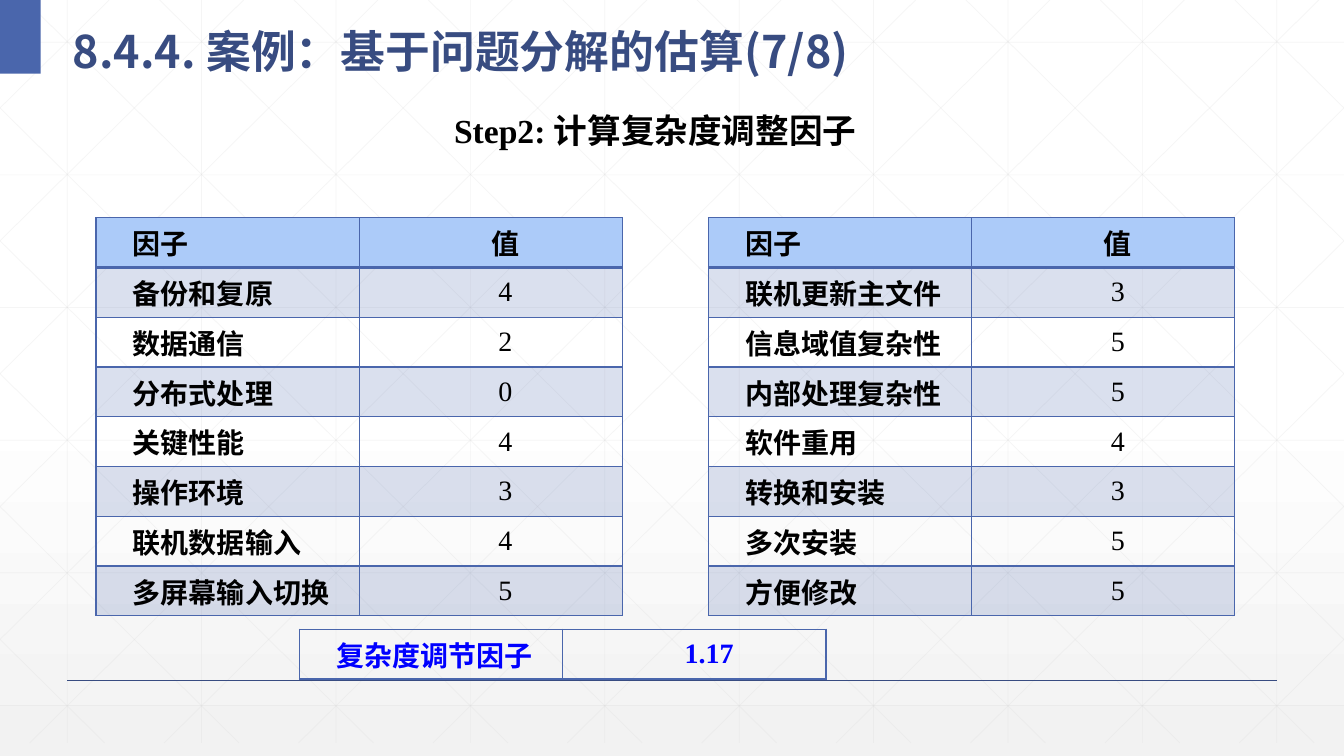
from dataclasses import dataclass

from pptx import Presentation
from pptx.dml.color import RGBColor
from pptx.enum.shapes import MSO_CONNECTOR, MSO_SHAPE
from pptx.enum.text import MSO_ANCHOR, PP_ALIGN
from pptx.oxml.ns import qn
from pptx.util import Pt
from lxml.etree import SubElement


@dataclass(frozen=True)
class Theme:
    accent: str = "4A66AC"
    dark_accent: str = "384C81"
    header: str = "ACCBF9"
    grid: str = "D9D9D9"
    text: str = "000000"
    result: str = "0000FF"
    background_top: str = "FFFFFF"
    background_bottom: str = "F2F2F2"
    latin_font: str = "Times New Roman"
    chinese_font: str = "Noto Sans CJK SC"
    title_size: int = 32
    step_size: int = 24
    table_size: int = 20


THEME = Theme()
SLIDE_WIDTH, SLIDE_HEIGHT = 960, 540
GRID_HEIGHT, GRID_STEP_X, GRID_STEP_Y = 530.6, 96, 94.75
DIAGONAL_RUN = 536.7
COLUMN_WIDTH, ROW_HEIGHT = 188, 35.55

LEFT_FACTORS = [("因子", "值"), ("备份和复原", "4"), ("数据通信", "2"), ("分布式处理", "0"),
                ("关键性能", "4"), ("操作环境", "3"), ("联机数据输入", "4"), ("多屏幕输入切换", "5")]
RIGHT_FACTORS = [("因子", "值"), ("联机更新主文件", "3"), ("信息域值复杂性", "5"), ("内部处理复杂性", "5"),
                 ("软件重用", "4"), ("转换和安装", "3"), ("多次安装", "5"), ("方便修改", "5")]
ADJUSTMENT_FACTOR = [("复杂度调节因子", "1.17")]


def set_opacity(fill, percent):
    color = fill._xPr.find(qn("a:solidFill")).find(qn("a:srgbClr"))
    SubElement(color, qn("a:alpha"), val=str(percent * 1000))


def paint_background(slide):
    fill = slide.background.fill
    fill.gradient()
    fill.gradient_angle = 270
    stops = ((0.53, THEME.background_top), (1, THEME.background_bottom))
    for stop, (position, color) in zip(fill.gradient_stops, stops):
        stop.position = position
        stop.color.rgb = RGBColor.from_string(color)


def add_line(slide, start, end, color, width, opacity=None):
    line = slide.shapes.add_connector(
        MSO_CONNECTOR.STRAIGHT, *(Pt(value) for value in (*start, *end)))
    line.line.color.rgb = RGBColor.from_string(color)
    line.line.width = Pt(width)
    if opacity is not None:
        set_opacity(line.line.fill, opacity)
    SubElement(line._element.spPr, qn("a:effectLst"))


def clipped_diagonal(start_x):
    """Return the ends of a falling diagonal, cut at the slide's sides."""
    slope = GRID_HEIGHT / DIAGONAL_RUN
    left = max(start_x, 0)
    right = min(start_x + DIAGONAL_RUN, SLIDE_WIDTH)
    return (left, (left - start_x) * slope), (right, (right - start_x) * slope)


def add_grid(slide):
    lines = []
    for column in range(10):
        x = 48 + column * GRID_STEP_X
        lines.append(((x, 0), (x, GRID_HEIGHT)))
    for row in range(6):
        y = 30.2 + row * GRID_STEP_Y
        lines.append(((0, y), (SLIDE_WIDTH, y)))
    for column in range(-5, 10):
        diagonal = clipped_diagonal(18 + column * GRID_STEP_X)
        lines.append(diagonal)
        lines.append(tuple((SLIDE_WIDTH - x, y) for x, y in diagonal))
    for start, end in lines:
        add_line(slide, start, end, THEME.grid, 0.5, opacity=25)


def write_text(text_frame, text, *, size, color=THEME.text, bold=True, font=THEME.latin_font,
               align=PP_ALIGN.LEFT, line_spacing=None, margin_left=0, indent=0):
    paragraph = text_frame.paragraphs[0]
    paragraph.alignment = align
    paragraph.line_spacing = line_spacing
    properties = paragraph._p.get_or_add_pPr()
    properties.set("marL", str(Pt(margin_left)))
    properties.set("indent", str(Pt(indent)))
    run = paragraph.add_run()
    run.text = text
    run.font.name = font
    run.font.size = Pt(size)
    run.font.bold = bold
    run.font.color.rgb = RGBColor.from_string(color)
    SubElement(run._r.get_or_add_rPr(), qn("a:ea"), typeface=THEME.chinese_font)


def add_text(slide, text, left, top, width, height, *, anchor=MSO_ANCHOR.TOP, **text_format):
    box = slide.shapes.add_textbox(Pt(left), Pt(top), Pt(width), Pt(height))
    box.text_frame.word_wrap = True
    box.text_frame.vertical_anchor = anchor
    write_text(box.text_frame, text, **text_format)


def add_corner_block(slide):
    block = slide.shapes.add_shape(MSO_SHAPE.RECTANGLE, Pt(0), Pt(0), Pt(29), Pt(52.6))
    block.shadow.inherit = False
    block.fill.solid()
    block.fill.fore_color.rgb = RGBColor.from_string(THEME.accent)
    block.line.fill.background()


def set_borders(cell, bottom_width):
    properties = cell._tc.get_or_add_tcPr()
    for side, width in (("L", 1), ("R", 1), ("T", 1), ("B", bottom_width)):
        border = SubElement(properties, qn(f"a:ln{side}"), w=str(Pt(width)))
        fill = SubElement(border, qn("a:solidFill"))
        SubElement(fill, qn("a:srgbClr"), val=THEME.accent)


def fill_cell(cell, color=None, opacity=None):
    if color is None:
        cell.fill.background()
        return
    cell.fill.solid()
    cell.fill.fore_color.rgb = RGBColor.from_string(color)
    if opacity is not None:
        set_opacity(cell.fill, opacity)


def add_factor_table(slide, rows, left, top, *, has_header=True, color=THEME.text):
    frame = slide.shapes.add_table(len(rows), 2, Pt(left), Pt(top),
                                   Pt(2 * COLUMN_WIDTH), Pt(len(rows) * ROW_HEIGHT))
    table = frame.table
    table.first_row = table.horz_banding = False
    for row in table.rows:
        row.height = Pt(ROW_HEIGHT)
    for row_index, row in enumerate(rows):
        is_header = has_header and row_index == 0
        for column_index, text in enumerate(row):
            cell = table.cell(row_index, column_index)
            cell.margin_left = cell.margin_right = Pt(5.4)
            cell.margin_top = cell.margin_bottom = Pt(0)
            cell.vertical_anchor = MSO_ANCHOR.MIDDLE
            set_borders(cell, bottom_width=2 if is_header or not has_header else 1)
            if is_header:
                fill_cell(cell, THEME.header)
            elif row_index % 2:
                fill_cell(cell, THEME.accent, opacity=20)
            else:
                fill_cell(cell)
            is_label = column_index == 0
            write_text(cell.text_frame, text, size=THEME.table_size, color=color,
                       bold=is_label or is_header or not has_header, indent=21,
                       align=PP_ALIGN.JUSTIFY if is_label else PP_ALIGN.CENTER)


def main():
    presentation = Presentation()
    presentation.slide_width, presentation.slide_height = Pt(SLIDE_WIDTH), Pt(SLIDE_HEIGHT)
    slide = presentation.slides.add_slide(presentation.slide_layouts[6])

    paint_background(slide)
    add_grid(slide)
    add_line(slide, (48, 486), (912, 486), THEME.dark_accent, 1)
    add_corner_block(slide)
    add_text(slide, "8.4.4. 案例：基于问题分解的估算(7/8)", 45, 4.3, 794, 52.6,
             anchor=MSO_ANCHOR.MIDDLE, size=THEME.title_size, color=THEME.dark_accent,
             font=THEME.chinese_font, line_spacing=1.3)
    add_text(slide, "Step2: 计算复杂度调整因子", 275, 78.5, 386, 42.5, size=THEME.step_size,
             align=PP_ALIGN.CENTER, line_spacing=0.9, margin_left=18, indent=-18)
    add_factor_table(slide, LEFT_FACTORS, 68.5, 155.5)
    add_factor_table(slide, RIGHT_FACTORS, 506, 155.5)
    add_factor_table(slide, ADJUSTMENT_FACTOR, 214, 449.5, has_header=False, color=THEME.result)

    presentation.save("out.pptx")


if __name__ == "__main__":
    main()
